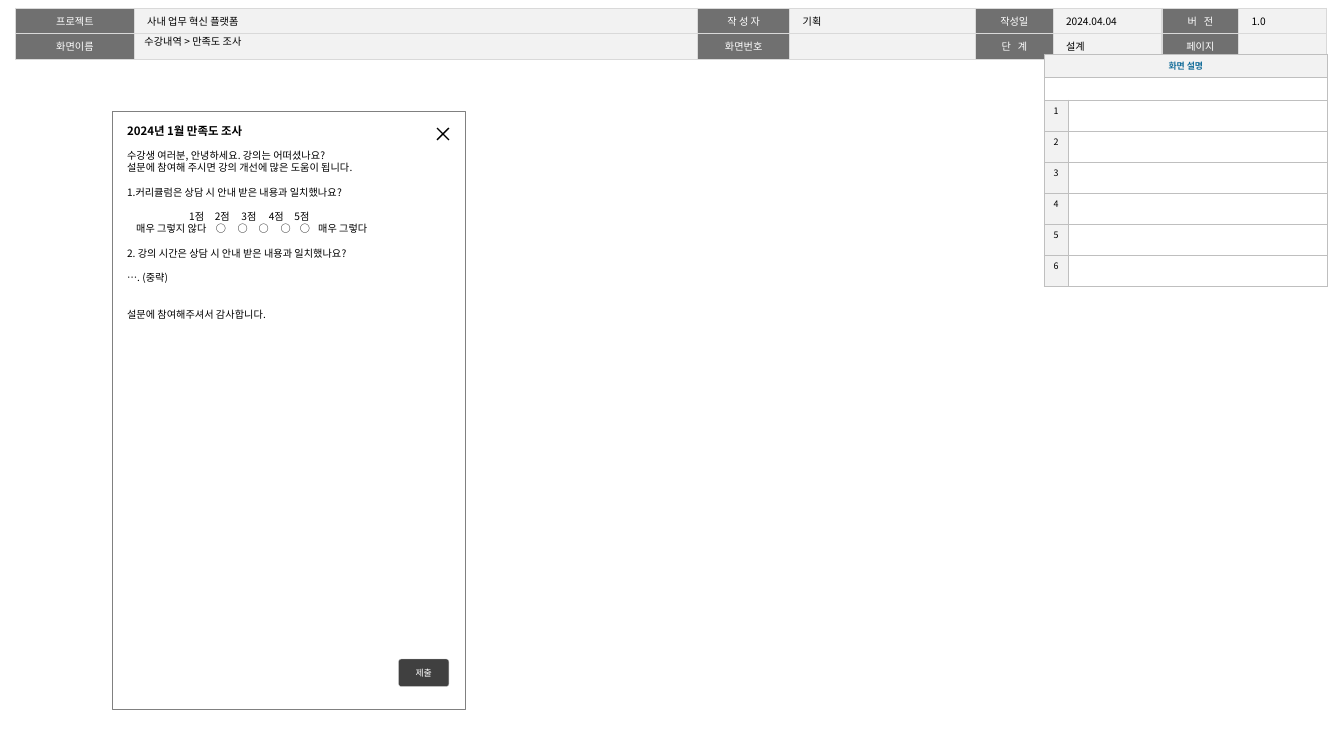
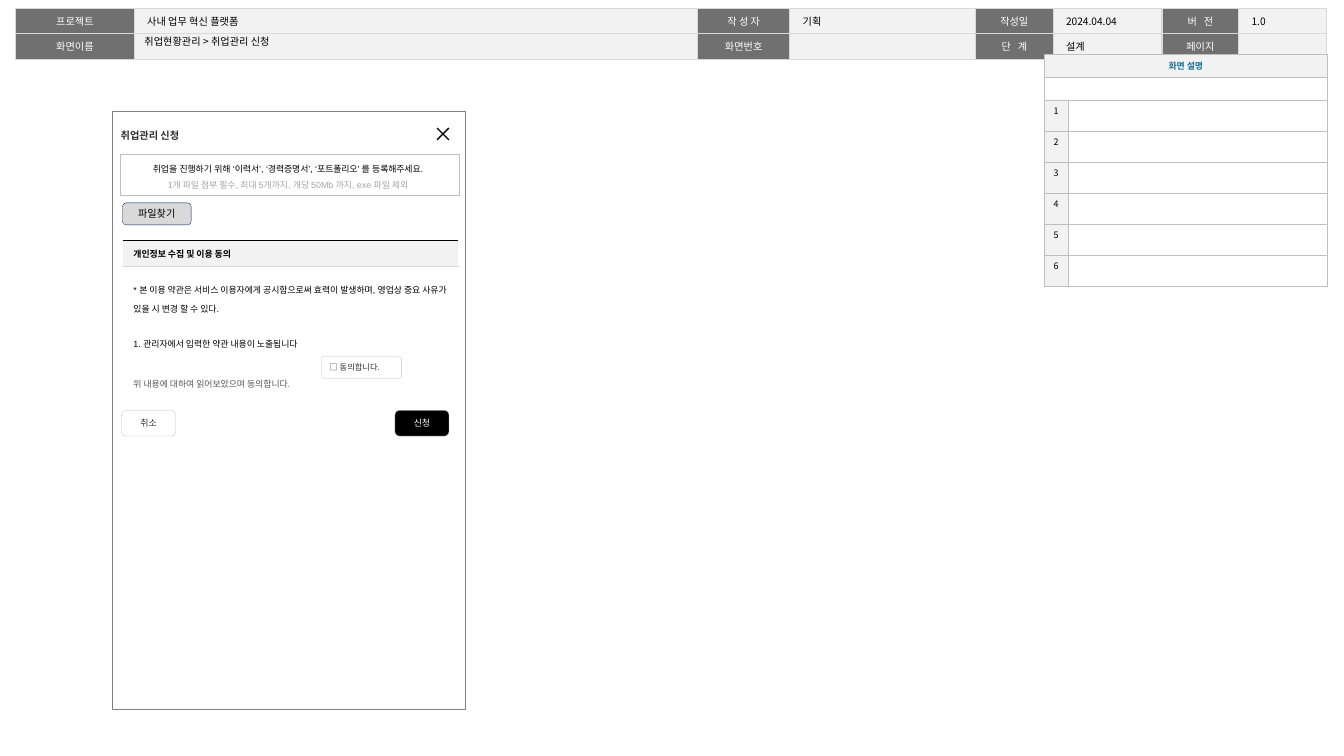
"""Build two screen plan slides: a survey popup and a job support form."""
from lxml.etree import SubElement as Sub
from pptx import Presentation
from pptx.dml.color import RGBColor as RGB
from pptx.enum.shapes import MSO_CONNECTOR as LINK, MSO_SHAPE as SHAPE
from pptx.enum.text import MSO_ANCHOR as ANCHOR, PP_ALIGN as ALIGN
from pptx.oxml.ns import qn
from pptx.util import Pt

PX = 9144
NOTO, ARIAL = "Noto Sans CJK KR", "Arial"
BLACK, WHITE = RGB(0, 0, 0), RGB(255, 255, 255)
PALE, LIGHT = RGB(0xF2, 0xF2, 0xF2), RGB(0xD9, 0xD9, 0xD9)
SILVER, ASH = RGB(0xBF, 0xBF, 0xBF), RGB(0xA6, 0xA6, 0xA6)
GREY, SLATE = RGB(0x80, 0x80, 0x80), RGB(0x70, 0x70, 0x70)
DIM, DARK, INK = RGB(0x59, 0x59, 0x59), RGB(0x40, 0x40, 0x40), RGB(0x2E, 0x2E, 0x2E)
BLUE, NAVY = RGB(0x17, 0x6F, 0x9B), RGB(0, 0x20, 0x60)
LEFT, MID = ALIGN.LEFT, ALIGN.CENTER
RECT, ROUND = SHAPE.RECTANGLE, SHAPE.ROUNDED_RECTANGLE


def write(host, lines, size, color=BLACK, font=NOTO, bold=False, align=LEFT,
          pad=(0, 0, 0, 0), lead=None, anchor=ANCHOR.MIDDLE):
    """Fill a cell or text frame with styled lines and return its paragraphs."""
    frame = getattr(host, "text_frame", host)
    frame.word_wrap = True
    frame.text = "\n".join(lines)
    host.vertical_anchor = anchor
    host.margin_left, host.margin_top, host.margin_right, host.margin_bottom = [p * PX for p in pad]
    for para in frame.paragraphs:
        para.alignment = align
        if lead:
            para.line_spacing = lead
        for run in para.runs:
            run.font.size, run.font.bold, run.font.name = Pt(size), bold, font
            run.font.color.rgb = color
            Sub(run._r.get_or_add_rPr(), qn("a:ea"), typeface=NOTO)
        Sub(para._p, qn("a:endParaRPr"), sz=str(int(size * 100)))
    return frame.paragraphs


def grid(slide, left, top, cols, rows, fill, edges):
    """Add a plain table with one fill and the given cell edges."""
    frame = slide.shapes.add_table(len(rows), len(cols), left * PX, top * PX,
                                   sum(cols) * PX, sum(rows) * PX)
    table = frame.table
    table.first_row = table.horz_banding = False
    for col, width in zip(table.columns, cols):
        col.width = width * PX
    for row, height in zip(table.rows, rows):
        row.height = height * PX
    for r in range(len(rows)):
        for cell in table.rows[r].cells:
            props = cell._tc.get_or_add_tcPr()
            for side, color, width in edges(r):
                line = Sub(props, qn("a:ln" + side), w=str(Pt(width)))
                Sub(Sub(line, qn("a:solidFill")), qn("a:srgbClr"), val=str(color))
            cell.fill.solid()
            cell.fill.fore_color.rgb = fill
    return table


HEAD = [
    ["프로젝트", "사내 업무 혁신 플랫폼", "작 성 자", "기획", "작성일", "2024.04.04", "버 전", "1.0"],
    ["화면이름", "", "화면번호", "", "단 계", "설계", "페이지", ""],
]
SPREAD = ("버 전", "단 계")
SURVEY = [
    "2024년 1월 만족도 조사",
    "수강생 여러분, 안녕하세요. 강의는 어떠셨나요?",
    "설문에 참여해 주시면 강의 개선에 많은 도움이 됩니다.",
    "커리큘럼은 상담 시 안내 받은 내용과 일치했나요?",
    "\t1점\t2점\t3점\t4점\t5점",
    "\t매우 그렇지 않다\t○\t○\t○\t○\t○\t매우 그렇다",
    "2. 강의 시간은 상담 시 안내 받은 내용과 일치했나요?",
    "…. (중략)",
    "설문에 참여해주셔서 감사합니다.",
]
GAPS = {1: 1, 3: 1, 4: 1, 6: 1, 7: 1, 8: 2}
TABS = {4: [68, 96, 125, 155, 183], 5: [10, 97, 121, 144, 168, 189, 209]}
HINT = [
    "취업을 진행하기 위해 ‘이력서’, ‘경력증명서’, ‘포트폴리오’ 를 등록해주세요.",
    "1개 파일 첨부 필수, 최대 5개까지, 개당 50Mb 까지, exe 파일 제외",
]
TERMS = [
    ["개인정보 수집 및 이용 동의"],
    ["* 본 이용 약관은 서비스 이용자에게 공시함으로써 효력이 발생하며, 영업상 중요 사유가 있을 시 변경 할 수 있다.",
     "1. 관리자에서 입력한 약관 내용이 노출됩니다"],
    ["위 내용에 대하여 읽어보았으며 동의합니다."],
]
LEAD = 9.6
TIGHT = (4, 0, 4, 0)
PUSH = dict(size=7, font=ARIAL, align=MID, pad=TIGHT)
PAGES = [
    ("수강내역 > 만족도 조사", [
        (RECT, (127, 137, 294, 240), None, None, None, SURVEY,
         dict(size=8, pad=(12, 0, 4, 0), lead=Pt(LEAD), anchor=ANCHOR.TOP)),
        (ROUND, (436, 721, 55, 30), 0.1, DARK, SILVER, ["제출"], dict(PUSH, color=WHITE)),
    ]),
    ("취업현황관리 > 취업관리 신청", [
        (RECT, (132, 169, 370, 44), None, None, SILVER, HINT,
         dict(size=7, font=ARIAL, align=MID, pad=(12, 0, 16, 0), lead=Pt(12.6))),
        (ROUND, (432, 449, 59, 28), 0.17, BLACK, SILVER, ["신청"], dict(PUSH, color=WHITE)),
        (ROUND, (133, 449, 59, 28), 0.17, WHITE, SILVER, ["취소"], dict(PUSH, color=INK)),
        (ROUND, (134, 222, 75, 24), 0.17, LIGHT, NAVY, ["파일찾기"],
         dict(size=8, align=MID, pad=(10, 5, 10, 5))),
        (ROUND, (352, 390, 87, 24), 0.1, WHITE, SILVER, ["□ 동의합니다."],
         dict(size=6.5, color=INK, font=ARIAL, pad=(8, 0, 8, 0))),
        (RECT, (132, 130, 198, 28), None, None, None, ["취업관리 신청"],
         dict(size=8, color=INK, font=ARIAL, bold=True, pad=(0, 5, 0, 5),
              lead=Pt(14.4), anchor=ANCHOR.TOP)),
    ]),
]

deck = Presentation()
deck.slide_width, deck.slide_height = 1470 * PX, 827 * PX

for title, boxes in PAGES:
    slide = deck.slides.add_slide(deck.slide_layouts[6])
    shapes = slide.shapes

    head = grid(slide, 17, 9, [130, 616, 101, 203, 85, 119, 84, 96], [28, 28], PALE,
                lambda r: [(side, LIGHT, 1) for side in "LRTB"])
    for r, row in enumerate(HEAD):
        for c, text in enumerate(row):
            cell, label = head.cell(r, c), c % 2 == 0
            if label:
                cell.fill.fore_color.rgb = SLATE
            paras = write(cell, [text], 8, WHITE if label else BLACK,
                          align=MID if label else LEFT, pad=(14, 5, 14, 5),
                          lead=1.05, anchor=ANCHOR.TOP)
            if text in SPREAD:
                paras[0].runs[0]._r.get_or_add_rPr().set("spc", "180")

    popup = shapes.add_shape(RECT, 123 * PX, 122 * PX, 386 * PX, 654 * PX)
    popup.shadow.inherit = False
    popup.fill.background()
    popup.line.color.rgb, popup.line.width = GREY, Pt(0.5)
    for start, end in ((478, 491), (491, 478)):
        stroke = shapes.add_connector(LINK.STRAIGHT, start * PX, 140 * PX, end * PX, 153 * PX)
        stroke.line.color.rgb, stroke.line.width = BLACK, Pt(1)
        Sub(stroke._element.spPr, qn("a:effectLst"))

    name = shapes.add_textbox(147 * PX, 37 * PX, 385 * PX, 16 * PX)
    write(name.text_frame, [title], 8, pad=(11, 5, 11, 5))

    notes = grid(slide, 1142, 59, [26, 284], [25] * 2 + [34] * 6, WHITE,
                 lambda r: [(side, SILVER, 0.25) for side in "LRTB"])
    for r in range(2):
        notes.cell(r, 0).merge(notes.cell(r, 1))
    for r in range(8):
        cell = notes.cell(r, 0)
        if r != 1:
            cell.fill.fore_color.rgb = PALE
        text = "화면 설명" if r == 0 else str(r - 1) if r > 1 else ""
        write(cell, [text], 7, BLUE if r == 0 else BLACK, bold=r == 0, align=MID,
              pad=(4, 5, 4, 5), anchor=ANCHOR.TOP if r else ANCHOR.MIDDLE)
        if r > 1:
            write(notes.cell(r, 1), [""], 7)

    if boxes[0][5] is HINT:
        terms = grid(slide, 134, 263, [368], [28, 109, 39], WHITE,
                     lambda r: [("L", WHITE, 1)] + [
                         [("T", BLACK, 0.25), ("B", LIGHT, 0.25)],
                         [("T", LIGHT, 0.25)], []][r])
        terms.cell(0, 0).fill.fore_color.rgb = PALE
        for r, lines in enumerate(TERMS):
            gap = 12 if r == 1 else 5
            paras = write(terms.cell(r, 0), lines, 7, DIM if r == 2 else BLACK, ARIAL, r == 0,
                          pad=(12, gap, 8, gap), anchor=ANCHOR.TOP if r == 1 else ANCHOR.MIDDLE)
            if r == 1:
                paras[0].line_spacing, paras[1].line_spacing = 1.5, 1.2
                paras[1].space_before = Pt(15)

    for kind, at, adj, fill, line, lines, style in boxes:
        box = shapes.add_shape(kind, *[n * PX for n in at])
        box.shadow.inherit = False
        if adj:
            box.adjustments[0] = adj
        if fill is None:
            box.fill.background()
        else:
            box.fill.solid()
            box.fill.fore_color.rgb = fill
        if line is None:
            box.line.fill.background()
        else:
            box.line.color.rgb, box.line.width = line, Pt(0.25)
        paras = write(box.text_frame, lines, **style)
        if lines is HINT:
            paras[0].runs[0]._r.rPr.find(qn("a:ea")).set("typeface", ARIAL)
            paras[1].runs[0].font.color.rgb = ASH
        if lines is SURVEY:
            paras[0].runs[0].font.size, paras[0].runs[0].font.bold = Pt(9), True
            for i, count in GAPS.items():
                paras[i].space_before = Pt(LEAD * count)
            props = paras[3]._p.get_or_add_pPr()
            props.set("marL", str(9 * PX))
            props.set("indent", str(-9 * PX))
            Sub(props, qn("a:buAutoNum"), type="arabicPeriod")
            for i, stops in TABS.items():
                tabs = Sub(paras[i]._p.get_or_add_pPr(), qn("a:tabLst"))
                for stop in stops:
                    Sub(tabs, qn("a:tab"), pos=str(stop * PX), algn="l")

deck.save("out.pptx")
